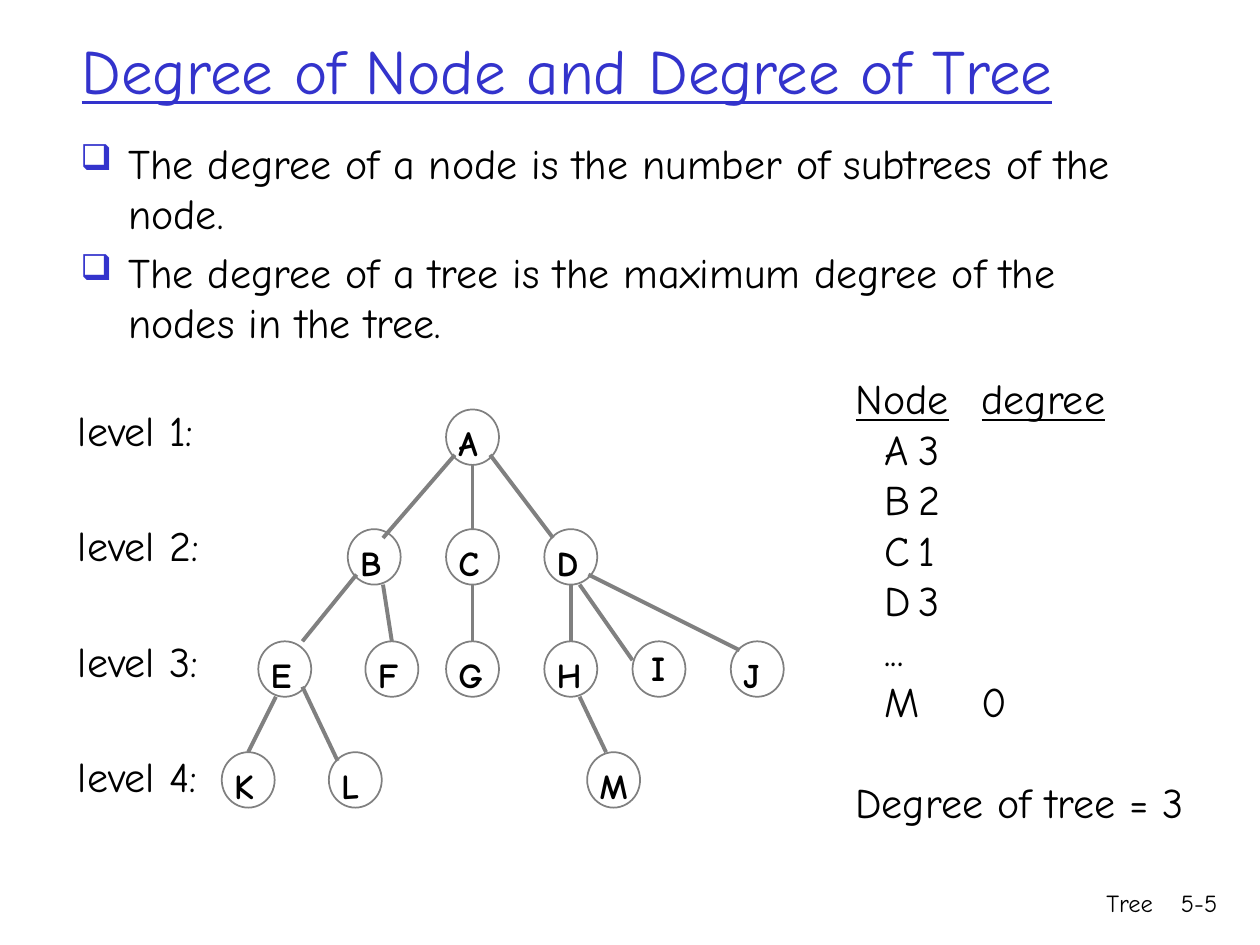
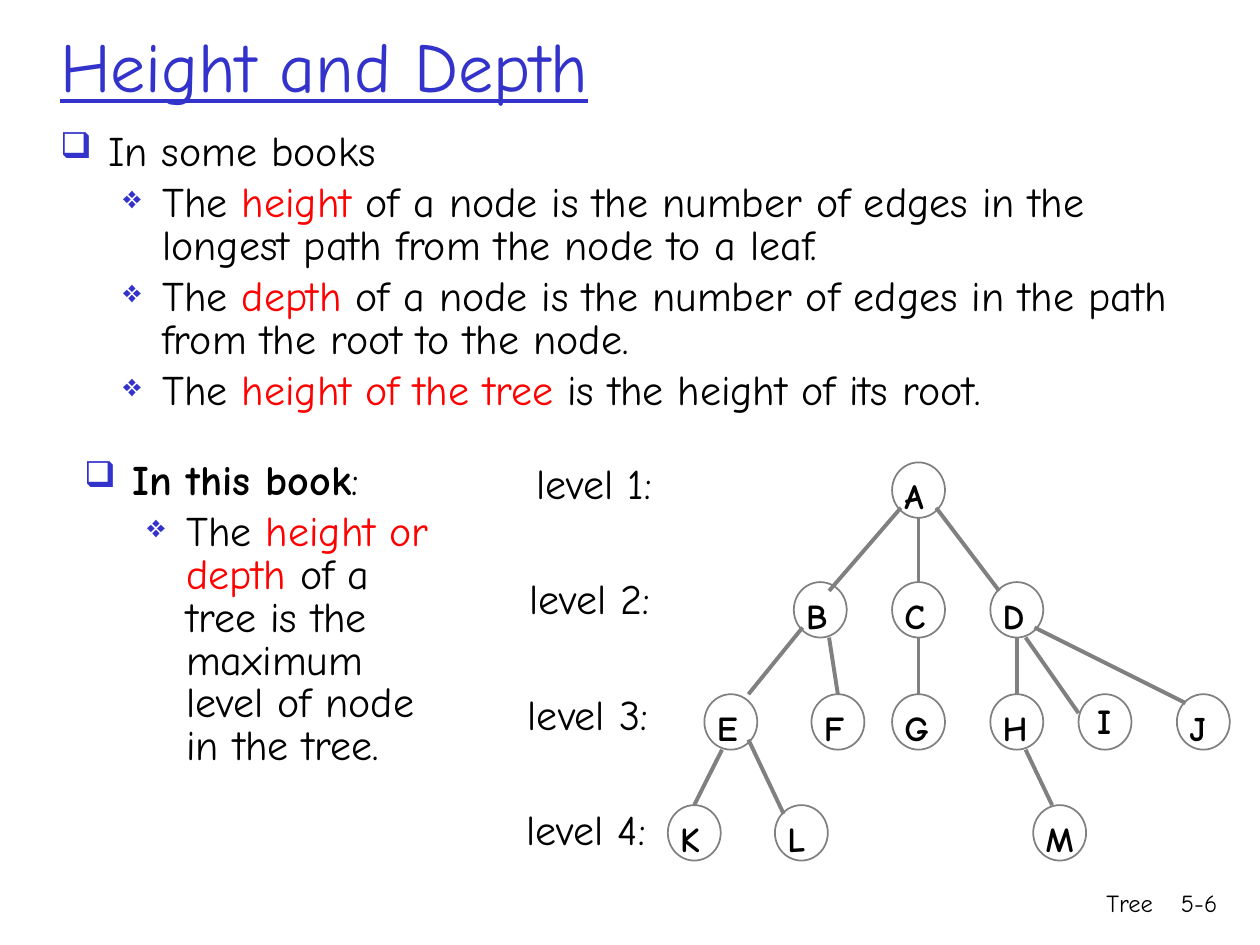
from lxml import etree
from pptx import Presentation
from pptx.dml.color import RGBColor
from pptx.enum.shapes import MSO_CONNECTOR, MSO_SHAPE
from pptx.enum.text import MSO_ANCHOR, PP_ALIGN
from pptx.oxml.ns import qn
from pptx.util import Inches, Pt

OVAL = MSO_SHAPE.OVAL
LINE = MSO_CONNECTOR.STRAIGHT
TOP, MIDDLE = MSO_ANCHOR.TOP, MSO_ANCHOR.MIDDLE
LEFT, RIGHT = PP_ALIGN.LEFT, PP_ALIGN.RIGHT

COLORS = {"ink": "000000", "blue": "3333CC", "red": "FF0000", "gray": "808080"}
FONT = "Comic Neue"
RED = {"color": "red"}
UNDER = {"underline": True}
BULLETS = [
    {"char": "❑", "scale": 85, "left": 0.38, "hang": -0.38},
    {"char": "❖", "scale": 75, "left": 0.81, "hang": -0.31},
]

WIDE, TALL = 0.42, 0.44
ROWS = [3.25, 4.2, 5.09, 5.97]
NODES = {
    "A": (3.54, 0), "B": (2.76, 1), "C": (3.54, 1), "D": (4.32, 1),
    "E": (2.05, 2), "F": (2.9, 2), "G": (3.54, 2), "H": (4.32, 2),
    "I": (5.02, 2), "J": (5.8, 2), "K": (1.76, 3), "L": (2.61, 3),
    "M": (4.66, 3),
}
PORTS = {
    "n": (0.21, 0), "nnw": (0.15, 0), "nne": (0.35, 0),
    "nw": (0.07, 0.07), "ne": (0.28, 0.07), "w": (0, 0.15),
    "s": (0.21, 0.44), "ssw": (0.14, 0.44), "sse": (0.28, 0.44),
    "sw": (0.07, 0.36), "se": (0.35, 0.36),
}
EDGES = [
    ("A", "sw", "B", "ne"), ("A", "s", "C", "n"), ("A", "se", "D", "nw"),
    ("B", "sw", "E", "nne"), ("B", "sse", "F", "n"), ("C", "s", "G", "n"),
    ("D", "s", "H", "n"), ("D", "sse", "I", "w"), ("D", "se", "J", "nw"),
    ("E", "ssw", "K", "n"), ("E", "se", "L", "nw"), ("H", "sse", "M", "nnw"),
]
DEGREES = [("A", "3"), ("B", "2"), ("C", "1"), ("D", "3"), ("...", ""), ("M", "0")]


class Deck:
    """Holds the shared style and the current slide."""

    def __init__(self):
        self.show = Presentation()
        self.show.slide_width, self.show.slide_height = Inches(10), Inches(7.5)
        self.slide = None

    def page(self, title, number, left, top, width, size):
        """Start a slide with its title and footer."""
        self.slide = self.show.slides.add_slide(self.show.slide_layouts[6])
        self.text("Tree", 6.08, 7, 3.17, 0.5, align=RIGHT, size=14)
        self.text(number, 9.08, 7, 0.68, 0.5, align=RIGHT, size=14)
        self.text(title, left, top, width, 0.58, MIDDLE,
                  size=size, color="blue", underline=True)

    def frame(self, left, top, width, height, **look):
        """Add an empty text box and return its frame."""
        box = self.slide.shapes.add_textbox(*map(Inches, (left, top, width, height)))
        for name, value in {"word_wrap": True, **look}.items():
            setattr(box.text_frame, name, value)
        return box.text_frame

    def line(self, frame, runs, **look):
        """Fill the first free paragraph of a frame with runs."""
        par = frame.paragraphs[0]
        if par.runs:
            par = frame.add_paragraph()
        for text, form in runs:
            self.run(par, text, **form)
        for name, value in look.items():
            setattr(par, name, value)
        return par

    def run(self, par, text, size=24, color="ink", **form):
        """Add one styled run."""
        run = par.add_run()
        run.text = text
        for name, value in {"name": FONT, "size": Pt(size), **form}.items():
            setattr(run.font, name, value)
        run.font.color.rgb = RGBColor.from_string(COLORS[color])

    def text(self, words, left, top, width, height, anchor=TOP, align=LEFT, **form):
        """Add a box with one line of text."""
        frame = self.frame(left, top, width, height, vertical_anchor=anchor)
        self.line(frame, [(words, form)], alignment=align)

    def body(self, left, top, width, height, items, space=1.0):
        """Add a bulleted list of (level, runs) items."""
        frame = self.frame(left, top, width, height)
        for index, (level, runs) in enumerate(items):
            par = self.line(frame, runs)
            self.bullet(par, **BULLETS[level])
            look = {"level": level, "line_spacing": space,
                    "space_before": Pt(4.8 if index else 0)}
            for name, value in look.items():
                setattr(par, name, value)

    def bullet(self, par, char, scale, left, hang):
        """Give a paragraph a hanging bullet."""
        props = par._p.get_or_add_pPr()
        props.set("marL", str(Inches(left)))
        props.set("indent", str(Inches(hang)))
        tint = etree.SubElement(props, qn("a:buClr"))
        etree.SubElement(tint, qn("a:srgbClr"), val=COLORS["blue"])
        etree.SubElement(props, qn("a:buSzPct"), val=str(scale * 1000))
        etree.SubElement(props, qn("a:buChar"), char=char)

    def tab(self, par, stop, indent=0.0):
        """Set the tab stop and first indent of a paragraph."""
        props = par._p.get_or_add_pPr()
        props.set("marL", "0")
        props.set("indent", str(Inches(indent)))
        tabs = etree.SubElement(props, qn("a:tabLst"))
        etree.SubElement(tabs, qn("a:tab"), pos=str(Inches(stop)), algn="l")

    def node(self, name, left, top):
        """Draw one named tree node."""
        oval = self.slide.shapes.add_shape(
            OVAL, *map(Inches, (left, top, WIDE, TALL)))
        oval.shadow.inherit = False
        oval.fill.background()
        self.stroke(oval.line, 1)
        right, down = (0.05, -0.01) if name == "I" else (0, 0.05)
        self.text(name, left + right, top + down, 0.45, TALL, size=20, bold=True)

    def stroke(self, line, width):
        """Style an outline or a line."""
        line.color.rgb = RGBColor.from_string(COLORS["gray"])
        line.width = Pt(width)

    def edge(self, start, end):
        """Draw one line between two points."""
        link = self.slide.shapes.add_connector(LINE, *map(Inches, start + end))
        self.stroke(link.line, 2.25)
        etree.SubElement(link._element.spPr, qn("a:effectLst"))

    def tree(self, right=0.0, down=0.0):
        """Draw the whole tree, shifted right and down."""
        spots = {name: (x + right, ROWS[row] + down)
                 for name, (x, row) in NODES.items()}
        for name, spot in spots.items():
            self.node(name, *spot)
        for head, out, tail, into in EDGES:
            self.edge(*(tuple(map(sum, zip(spots[name], PORTS[port])))
                        for name, port in ((head, out), (tail, into))))

    def levels(self, lefts, top):
        """Label the four levels of the tree."""
        for index, left in enumerate(lefts):
            self.text(f"level {index + 1}:", left, top + 0.917 * index, 1.32, 0.5)

    def degrees(self):
        """List the degree of each node."""
        frame = self.frame(6.19, 2.91, 3.75, 3.74, margin_left=Inches(0.6))
        head = [("Node", UNDER), ("\t", {}), ("degree", UNDER)]
        self.tab(self.line(frame, head), 1.18)
        for name, count in DEGREES:
            words = f"{name}\t{count}" if count else name
            self.tab(self.line(frame, [(words, {})]), 2, 0.23)
        self.line(frame, [("Degree of tree = 3", {})], space_before=Pt(29))


def main():
    """Build both slides."""
    deck = Deck()
    deck.page("Degree of Node and Degree of Tree", "5-5", 0.55, 0.26, 8.92, 36)
    deck.body(0.54, 1.04, 8.5, 1.82, [
        (0, [("The degree of a node is the number of subtrees of the node.", {})]),
        (0, [("The degree of a tree is the maximum degree of the nodes in the tree.", {})]),
    ])
    deck.tree()
    deck.degrees()
    deck.levels([0.52] * 4, 3.16)

    deck.page("Height and Depth", "5-6", 0.38, 0.22, 9.23, 40)
    deck.body(0.38, 1, 9.23, 2.33, [
        (0, [("In some books", {})]),
        (1, [("The ", {}), ("height", RED),
             (" of a node is the number of edges in the longest path"
              " from the node to a leaf.", {})]),
        (1, [("The ", {}), ("depth", RED),
             (" of a node is the number of edges in the path"
              " from the root to the node.", {})]),
        (1, [("The ", {}), ("height of the tree", RED),
             (" is the height of its root.", {})]),
    ], 0.85)
    deck.tree(3.54, 0.42)
    deck.levels([4.16, 4.1, 4.09, 4.08], 3.58)
    deck.body(0.57, 3.61, 3.06, 2.33, [
        (0, [("In this book", {"bold": True}), (":", {})]),
        (1, [("The ", {}), ("height or depth ", RED),
             ("of a tree is the maximum level of node in the tree.", {})]),
    ], 0.85)
    deck.show.save("out.pptx")


if __name__ == "__main__":
    main()
